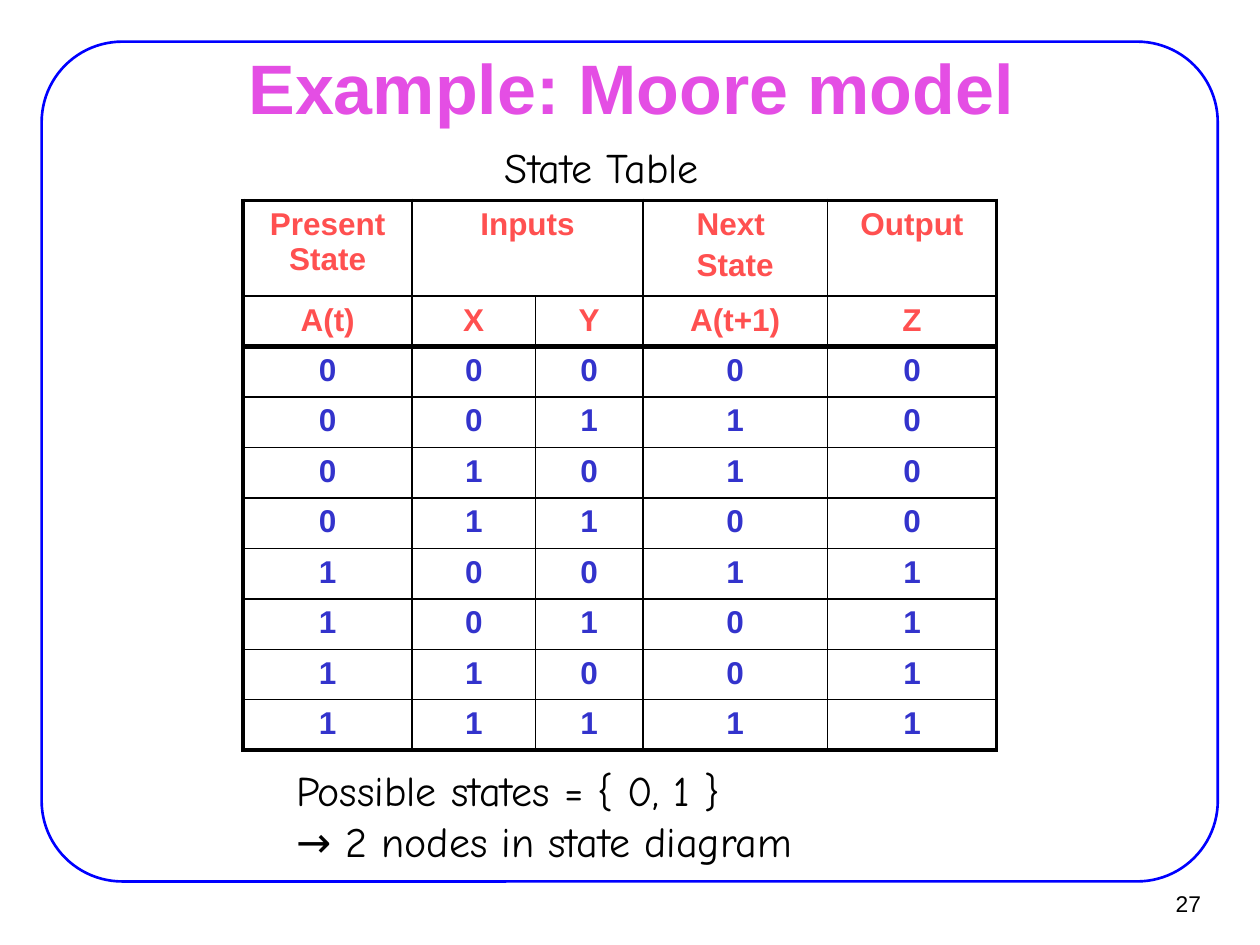
"""Build the Moore model slide with its state table."""
from dataclasses import dataclass

from lxml.etree import SubElement
from pptx import Presentation
from pptx.dml.color import RGBColor
from pptx.enum.shapes import MSO_SHAPE
from pptx.enum.text import MSO_ANCHOR, PP_ALIGN
from pptx.oxml.ns import qn
from pptx.util import Cm, Pt

TITLE = ["Example: Moore model"]
CAPTION = ["State Table"]
CONCLUSION = ["Possible states = { 0, 1 }", "→ 2 nodes in state diagram"]
PAGE_NUMBER = ["27"]
HEADINGS = [
    ["Present State", "Inputs", "", "Next \nState", "Output"],
    ["A(t)", "X", "Y", "A(t+1)", "Z"],
]
STATES = ["00000", "00110", "01010", "01100", "10011", "10101", "11001", "11111"]
COLUMN_WIDTHS = [3.41, 2.48, 2.17, 3.72, 3.41]
HEADING_HEIGHT, ROW_HEIGHT = 1.93, 1.01


@dataclass(frozen=True)
class Theme:
    """Fonts, colours, type sizes and line widths."""

    sans: str = "Arial"
    hand: str = "Comic Neue"
    ink: str = "000000"
    title: str = "E44EE4"
    frame: str = "0000FF"
    heading: str = "FF5050"
    value: str = "3333CC"
    title_size: float = 40
    note_size: float = 24
    cell_size: float = 18
    number_size: float = 13
    paragraph_gap: float = 3.6
    frame_line: float = 1.5
    thin: float = 1
    outer: float = 2.25
    divider: float = 3


THEME = Theme()


def write(text_frame, lines, font, size, color, align=PP_ALIGN.LEFT, bold=False, gap=0):
    """Fill a text frame with one paragraph per line."""
    for index, line in enumerate(lines):
        para = text_frame.paragraphs[0] if index == 0 else text_frame.add_paragraph()
        para.text = line
        para.alignment = align
        if index:
            para.space_before = Pt(gap)
        para.font.name = font
        para.font.size = Pt(size)
        para.font.bold = bold
        para.font.color.rgb = RGBColor.from_string(color)


def add_text(page, place, lines, font, size, color, anchor=MSO_ANCHOR.TOP, wrap=True, **style):
    """Add a text box at a place given in centimetres."""
    box = page.shapes.add_textbox(*map(Cm, place))
    box.text_frame.word_wrap = wrap
    box.text_frame.vertical_anchor = anchor
    write(box.text_frame, lines, font, size, color, **style)


def set_borders(cell, widths):
    """Draw the left, right, top and bottom borders of a cell."""
    properties = cell._tc.get_or_add_tcPr()
    for index, (side, width) in enumerate(zip("LRTB", widths)):
        line = SubElement(properties, qn(f"a:ln{side}"), w=str(Pt(width)))
        fill = SubElement(line, qn("a:solidFill"))
        SubElement(fill, qn("a:srgbClr"), val=THEME.ink)
        properties.insert(index, line)


def edge_width(edge, count, divider=None):
    """Return the line width of a grid edge."""
    if edge == divider:
        return THEME.divider
    return THEME.outer if edge in (0, count) else THEME.thin


def add_state_table(page):
    """Add the state table."""
    rows = HEADINGS + [list(state) for state in STATES]
    heights = [HEADING_HEIGHT] + [ROW_HEIGHT] * (len(rows) - 1)
    place = (4.9, 4.04, sum(COLUMN_WIDTHS), sum(heights))
    table = page.shapes.add_table(len(rows), len(COLUMN_WIDTHS), *map(Cm, place)).table
    table.first_row = table.horz_banding = False
    for column, width in zip(table.columns, COLUMN_WIDTHS):
        column.width = Cm(width)
    for row, height in zip(table.rows, heights):
        row.height = Cm(height)
    table.cell(0, 1).merge(table.cell(0, 2))
    for r, row in enumerate(rows):
        color = THEME.heading if r < len(HEADINGS) else THEME.value
        for c, content in enumerate(row):
            cell = table.cell(r, c)
            cell.fill.background()
            across = [edge_width(edge, len(row)) for edge in (c, c + 1)]
            down = [edge_width(edge, len(rows), len(HEADINGS)) for edge in (r, r + 1)]
            set_borders(cell, across + down)
            if content:
                write(cell.text_frame, content.split("\n"), THEME.sans, THEME.cell_size,
                      color, PP_ALIGN.CENTER, True, THEME.paragraph_gap)


def add_frame(page):
    """Add the rounded frame around the slide."""
    frame = page.shapes.add_shape(
        MSO_SHAPE.ROUNDED_RECTANGLE, Cm(0.84), Cm(0.84), Cm(23.71), Cm(16.93))
    frame.adjustments[0] = 0.096
    frame.shadow.inherit = False
    frame.fill.background()
    frame.line.color.rgb = RGBColor.from_string(THEME.frame)
    frame.line.width = Pt(THEME.frame_line)


def main():
    """Assemble and save the deck."""
    deck = Presentation()
    deck.slide_width, deck.slide_height = Cm(25.4), Cm(19.05)
    page = deck.slides.add_slide(deck.slide_layouts[6])
    add_frame(page)
    add_text(page, (22.91, 17.75, 1.55, 0.94), PAGE_NUMBER, THEME.sans, THEME.number_size,
             THEME.ink, MSO_ANCHOR.MIDDLE, False, align=PP_ALIGN.RIGHT)
    add_text(page, (1.93, 1.12, 21.59, 1.24), TITLE, THEME.sans, THEME.title_size,
             THEME.title, MSO_ANCHOR.MIDDLE, align=PP_ALIGN.CENTER, bold=True)
    add_text(page, (9.93, 2.72, 10.59, 1.27), CAPTION, THEME.hand, THEME.note_size, THEME.ink)
    add_state_table(page)
    add_text(page, (5.72, 15.29, 13.97, 2.62), CONCLUSION, THEME.hand, THEME.note_size, THEME.ink)
    deck.save("out.pptx")


if __name__ == "__main__":
    main()
